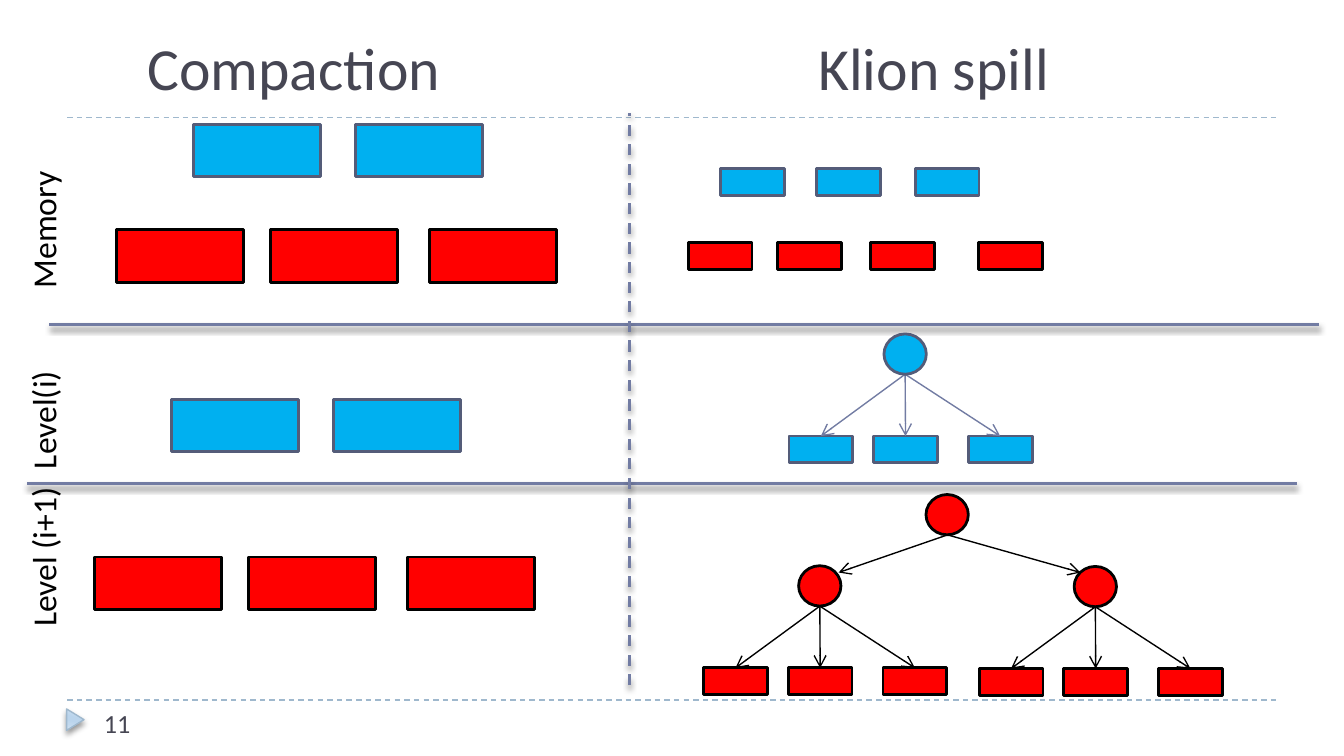
"""Build a slide that compares compaction with spilling across storage levels."""
from typing import NamedTuple

from lxml.etree import SubElement
from pptx import Presentation
from pptx.dml.color import RGBColor
from pptx.enum.dml import MSO_LINE
from pptx.enum.shapes import MSO_CONNECTOR, MSO_SHAPE
from pptx.enum.text import MSO_ANCHOR, PP_ALIGN
from pptx.oxml.ns import qn
from pptx.util import Inches, Pt

COLORS = {
    "blue": "00B0F0", "slate": "545C79", "red": "FF0000", "black": "000000",
    "axis": "727CA3", "rule": "9FB8CD", "text": "464653",
    "pale": "D3E3F2", "mid": "C0D8EE", "deep": "BAD4EC",
}
CELL = Inches(0.1)
COLS, ROWS = 100, 56.25
BIG, SMALL, NODE = (9.45, 3.9), (4.75, 2), (3.15, 3)
TRIO, PAIR = (0, 11.45, 23.25), (0, 12.05)
LEAF_OFFSETS, LEAF_DROP = (-8.65, -2.35, 4.7), 7.6


class Style(NamedTuple):
    fill: str
    line: str
    arrow: str


class Row(NamedTuple):
    left: float
    top: float
    offsets: tuple
    size: tuple
    style: Style


class Tree(NamedTuple):
    center: float
    top: float
    style: Style


class Line(NamedTuple):
    start: tuple
    end: tuple
    color: str
    width: float = 0.75
    dash: bool = False
    shadow: bool = False
    arrow: bool = False


class Label(NamedTuple):
    text: str
    box: tuple
    size: int
    color: str = "text"
    anchor: MSO_ANCHOR = MSO_ANCHOR.TOP
    upright: bool = False


BLUE = Style("blue", "slate", "axis")
RED = Style("red", "black", "black")

LINES = [
    Line((5, 52.1), (95, 52.1), "rule", dash=True),
    Line((5, 8.75), (95, 8.75), "rule", dash=True),
    Line((2, 36), (96.5, 36), "axis", 1.5, shadow=True),
    Line((3.65, 24.15), (98.15, 24.15), "axis", 1.5, shadow=True),
    Line((46.85, 51), (46.85, 8.4), "axis", 1.5, dash=True, shadow=True),
    Line((70.5, 39.8), (62.4, 42.6), "black", arrow=True),
    Line((70.5, 39.8), (80.4, 42.6), "black", arrow=True),
]
ROWS_OF_BLOCKS = [
    Row(14.4, 9.25, PAIR, BIG, BLUE),
    Row(8.7, 17.1, TRIO, BIG, RED),
    Row(12.75, 29.7, PAIR, BIG, BLUE),
    Row(7.05, 41.45, TRIO, BIG, RED),
    Row(53.6, 12.55, (0, 7.15, 14.5), SMALL, BLUE),
    Row(51.2, 18.05, (0, 6.65, 13.6, 21.6), SMALL, RED),
]
TREES = [Tree(67.35, 24.85, BLUE), Tree(61, 42.1, RED), Tree(81.5, 42.15, RED)]
ROOT = (68.9, 36.8)
LABELS = [
    Label("Compaction", (10, 1.2, 35, 6.9), 32, anchor=MSO_ANCHOR.BOTTOM),
    Label("Klion spill", (59.9, 1.2, 35, 6.9), 32, anchor=MSO_ANCHOR.BOTTOM),
    Label("11", (6.75, 52.15, 21.7, 3), 14),
] + [
    Label(text, (-4.45, top, 16, 4.7), 18, "black", upright=True)
    for text, top in (("Memory", 14.75), ("Level(i)", 28.9), ("Level (i+1)", 39.1))
]


def grid(*cells: float) -> list:
    return [round(c * CELL) for c in cells]


def rgb(name: str) -> RGBColor:
    return RGBColor.from_string(COLORS[name])


def add_effects(sp, shadow: bool) -> None:
    effects = SubElement(sp._element.spPr, qn("a:effectLst"))
    if shadow:
        outer = SubElement(effects, qn("a:outerShdw"), blurRad=str(Pt(3)), dist=str(Pt(2)),
                           dir="5400000", rotWithShape="0")
        color = SubElement(outer, qn("a:srgbClr"), val=COLORS["black"])
        SubElement(color, qn("a:alpha"), val="40000")


def draw_line(s, line: Line):
    cn = s.shapes.add_connector(MSO_CONNECTOR.STRAIGHT, *grid(*line.start, *line.end))
    cn.line.color.rgb = rgb(line.color)
    cn.line.width = Pt(line.width)
    if line.dash:
        cn.line.dash_style = MSO_LINE.DASH
    if line.arrow:
        SubElement(cn.line._get_or_add_ln(), qn("a:tailEnd"), type="arrow")
    add_effects(cn, line.shadow)
    return cn


def draw_block(s, kind: MSO_SHAPE, corner: tuple, size: tuple, style: Style):
    sp = s.shapes.add_shape(kind, *grid(*corner, *size))
    sp.shadow.inherit = False
    sp.fill.solid()
    sp.fill.fore_color.rgb = rgb(style.fill)
    sp.line.color.rgb = rgb(style.line)
    sp.line.width = Pt(1.5)
    return sp


def draw_row(s, row: Row) -> None:
    for offset in row.offsets:
        draw_block(s, MSO_SHAPE.RECTANGLE, (row.left + offset, row.top), row.size, row.style)


def draw_tree(s, tree: Tree) -> None:
    base = (tree.center, tree.top + NODE[1])
    for offset in LEAF_OFFSETS:
        corner = (tree.center + offset, tree.top + LEAF_DROP)
        leaf = draw_block(s, MSO_SHAPE.RECTANGLE, corner, SMALL, tree.style)
        edge = draw_line(s, Line(base, corner, tree.style.arrow, arrow=True))
        edge.end_connect(leaf, 0)
    draw_block(s, MSO_SHAPE.OVAL, (tree.center - NODE[0] / 2, tree.top), NODE, tree.style)


def draw_label(s, label: Label) -> None:
    sp = s.shapes.add_textbox(*grid(*label.box))
    tf = sp.text_frame
    tf.word_wrap = not label.upright
    tf.vertical_anchor = label.anchor
    p = tf.paragraphs[0]
    p.text = label.text
    p.font.name = "Calibri"
    p.font.size = Pt(label.size)
    p.font.color.rgb = rgb(label.color)
    if label.upright:
        sp.rotation = 270
        p.alignment = PP_ALIGN.CENTER
        p.space_before = Pt(5.8)


def draw_marker(s) -> None:
    sp = s.shapes.add_shape(MSO_SHAPE.ISOSCELES_TRIANGLE, *grid(4.8, 52.9, 1.6, 1.3))
    sp.rotation = 90
    sp.fill.gradient()
    sp.fill.gradient_angle = 344
    stops = sp._element.spPr.find(qn("a:gradFill")).find(qn("a:gsLst"))
    stops.clear()
    shades = ("pale", "mid", "deep", "deep", "mid", "pale")
    for share, shade in zip((0, 30, 45, 55, 73, 100), shades):
        stop = SubElement(stops, qn("a:gs"), pos=str(share * 1000))
        SubElement(stop, qn("a:srgbClr"), val=COLORS[shade])
    sp.line.color.rgb = rgb("rule")
    sp.line.width = Pt(0.75)
    add_effects(sp, True)


def main() -> None:
    prs = Presentation()
    prs.slide_width, prs.slide_height = grid(COLS, ROWS)
    s = prs.slides.add_slide(prs.slide_layouts[6])
    for line in LINES:
        draw_line(s, line)
    draw_marker(s)
    for row in ROWS_OF_BLOCKS:
        draw_row(s, row)
    for tree in TREES:
        draw_tree(s, tree)
    draw_block(s, MSO_SHAPE.OVAL, ROOT, NODE, RED)
    for label in LABELS:
        draw_label(s, label)
    prs.save("out.pptx")


if __name__ == "__main__":
    main()
